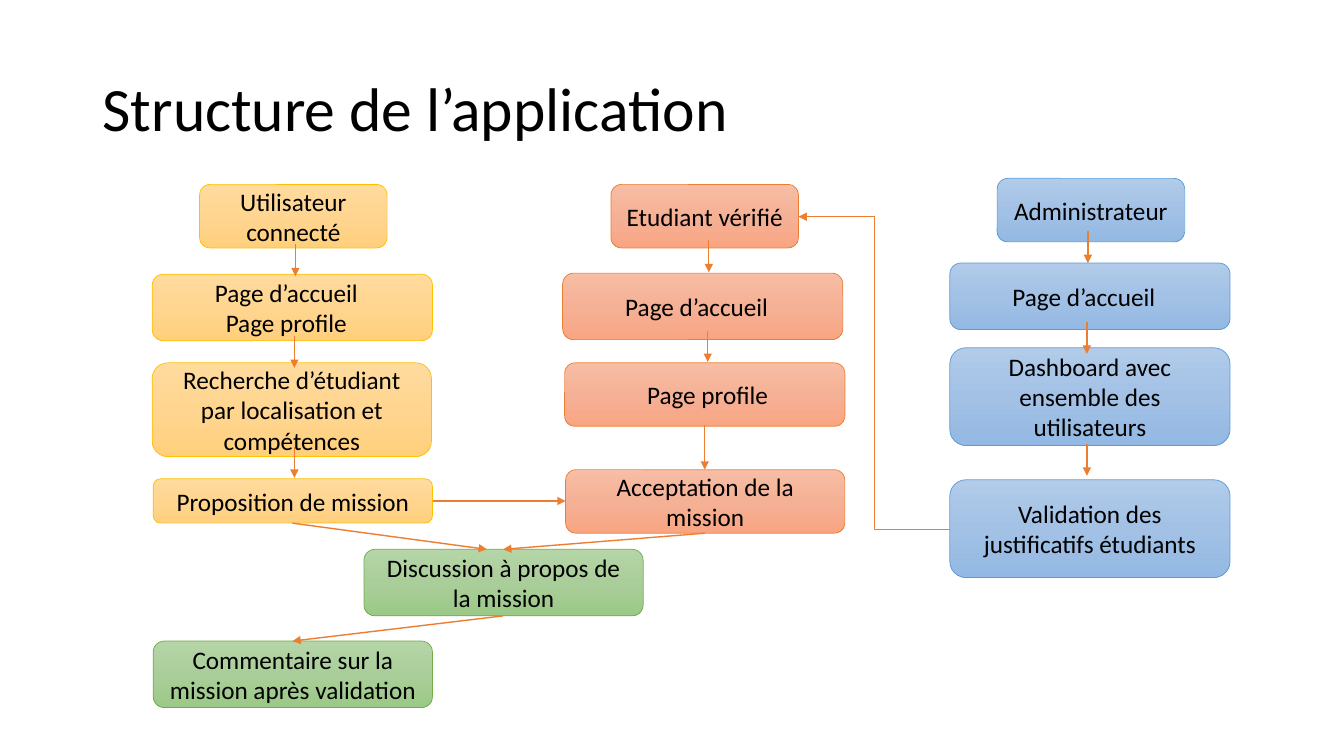
from copy import deepcopy
from pptx import Presentation
from pptx.dml.color import RGBColor
from pptx.enum.shapes import MSO_CONNECTOR, MSO_SHAPE
from pptx.enum.text import MSO_ANCHOR, PP_ALIGN
from pptx.oxml.ns import qn
from pptx.oxml.xmlchemy import OxmlElement
from pptx.util import Pt

PX = 9144  # 100 px to the inch
FONT = "Calibri"
BLACK = RGBColor(0x00, 0x00, 0x00)
ARROW = RGBColor(0xED, 0x7D, 0x31)

# Each palette: outline, then gradient from top to bottom
YELLOW = (RGBColor(0xFF, 0xC0, 0x00), RGBColor(0xFF, 0xDB, 0x9E),
          RGBColor(0xFF, 0xD5, 0x90), RGBColor(0xFF, 0xD0, 0x7C))
ORANGE = (RGBColor(0xED, 0x7D, 0x31), RGBColor(0xF7, 0xBD, 0xA5),
          RGBColor(0xF5, 0xB1, 0x96), RGBColor(0xF8, 0xA5, 0x82))
BLUE = (RGBColor(0x5B, 0x9B, 0xD5), RGBColor(0xB1, 0xCB, 0xE9),
        RGBColor(0xA3, 0xC1, 0xE5), RGBColor(0x93, 0xB9, 0xE4))
GREEN = (RGBColor(0x70, 0xAD, 0x47), RGBColor(0xB5, 0xD5, 0xA7),
         RGBColor(0xAA, 0xCE, 0x9A), RGBColor(0x9C, 0xC9, 0x87))

HOME = "Page d’accueil"
HOME_INDENT = 12  # right indent that sets the home page label slightly left

prs = Presentation()
prs.slide_width, prs.slide_height = 1333 * PX, 750 * PX
slide = prs.slides.add_slide(prs.slide_layouts[6])


def add_text(p, text, size):
    r = p.add_run()
    r.text = text
    r.font.name, r.font.size = FONT, Pt(size)
    r.font.color.rgb = BLACK


def add_arrow(kind, x1, y1, x2, y2, width):
    s = slide.shapes.add_connector(kind, x1 * PX, y1 * PX, x2 * PX, y2 * PX)
    s.line.color.rgb = ARROW
    s.line.width = Pt(width)
    tail = OxmlElement("a:tailEnd")
    tail.set("type", "triangle")
    s.line._get_or_add_ln().append(tail)
    s._element.spPr.append(OxmlElement("a:effectLst"))


# Title
tf = slide.shapes.add_textbox(92 * PX, 38 * PX, 1150 * PX, 145 * PX).text_frame
tf.word_wrap = True
tf.vertical_anchor = MSO_ANCHOR.MIDDLE
tf.paragraphs[0].line_spacing = 0.9
add_text(tf.paragraphs[0], "Structure de l’application", 44)

# Boxes: left, top, width, height, paragraphs
boxes = {
    YELLOW: [
        (198, 183, 186, 63, ["Utilisateur connecté"]),
        (151, 272, 278, 66, [HOME, "Page profile"]),
        (151, 360, 277, 93, ["Recherche d’étudiant par localisation et compétences"]),
        (152, 475, 277, 44, ["Proposition de mission"]),
    ],
    ORANGE: [
        (606, 183, 186, 63, ["Etudiant vérifié"]),
        (558, 271, 278, 66, [HOME]),
        (560, 360, 278, 63, [" Page profile"]),
        (561, 466, 277, 63, ["Acceptation de la mission"]),
    ],
    BLUE: [
        (989, 177, 186, 63, ["Administrateur"]),
        (942, 261, 278, 66, [HOME]),
        (942, 345, 278, 97, ["Dashboard avec ensemble des utilisateurs"]),
        (942, 476, 278, 97, ["Validation des justificatifs étudiants"]),
    ],
    GREEN: [
        (361, 545, 277, 66, ["Discussion à propos de la mission"]),
        (152, 636, 277, 66, ["Commentaire sur la mission après validation"]),
    ],
}
for (outline, *gradient), items in boxes.items():
    for x, y, w, h, texts in items:
        s = slide.shapes.add_shape(MSO_SHAPE.ROUNDED_RECTANGLE,
                                   x * PX, y * PX, w * PX, h * PX)
        s.shadow.inherit = False
        s.line.color.rgb = outline
        s.line.width = Pt(0.5)

        # Three-stop vertical gradient
        s.fill.gradient()
        s.fill.gradient_angle = 270
        stops = s._element.spPr.find(".//" + qn("a:gsLst"))
        stops.insert(1, deepcopy(stops[0]))
        for i, (stop, color) in enumerate(zip(s.fill.gradient_stops, gradient)):
            stop.position = i / 2
            stop.color.rgb = color

        # Label
        tf = s.text_frame
        tf.word_wrap = True
        tf.vertical_anchor = MSO_ANCHOR.MIDDLE
        for i, text in enumerate(texts):
            p = tf.add_paragraph() if i else tf.paragraphs[0]
            p.alignment = PP_ALIGN.CENTER
            if text == HOME:
                p._p.get_or_add_pPr().set("marR", str(HOME_INDENT * PX))
            add_text(p, text, 18)

# Straight arrows: from x, y to x, y
arrows = [
    (293, 242, 293, 274), (292, 333, 292, 365), (292, 443, 292, 474),
    (703, 238, 703, 270), (702, 328, 702, 359), (699, 422, 699, 466),
    (1079, 229, 1079, 261), (1078, 319, 1078, 351), (1078, 440, 1078, 472),
    (429, 497, 561, 497), (290, 519, 483, 545), (699, 529, 499, 545),
    (499, 611, 290, 636),
]
for ends in arrows:
    add_arrow(MSO_CONNECTOR.STRAIGHT, *ends, 1)

# Validation leads back to the verified student
add_arrow(MSO_CONNECTOR.ELBOW, 942, 525, 792, 215, 0.5)

prs.save("out.pptx")
